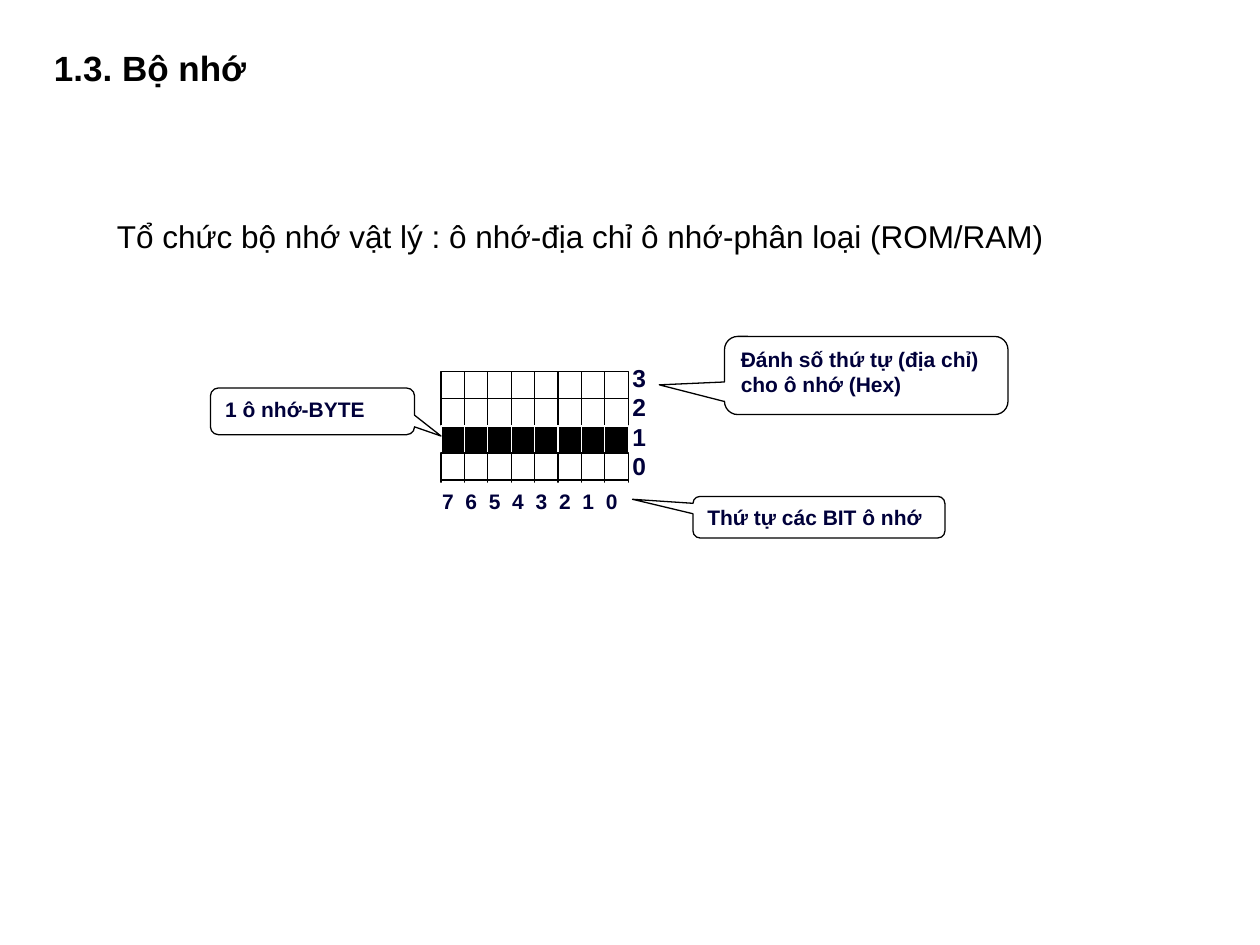
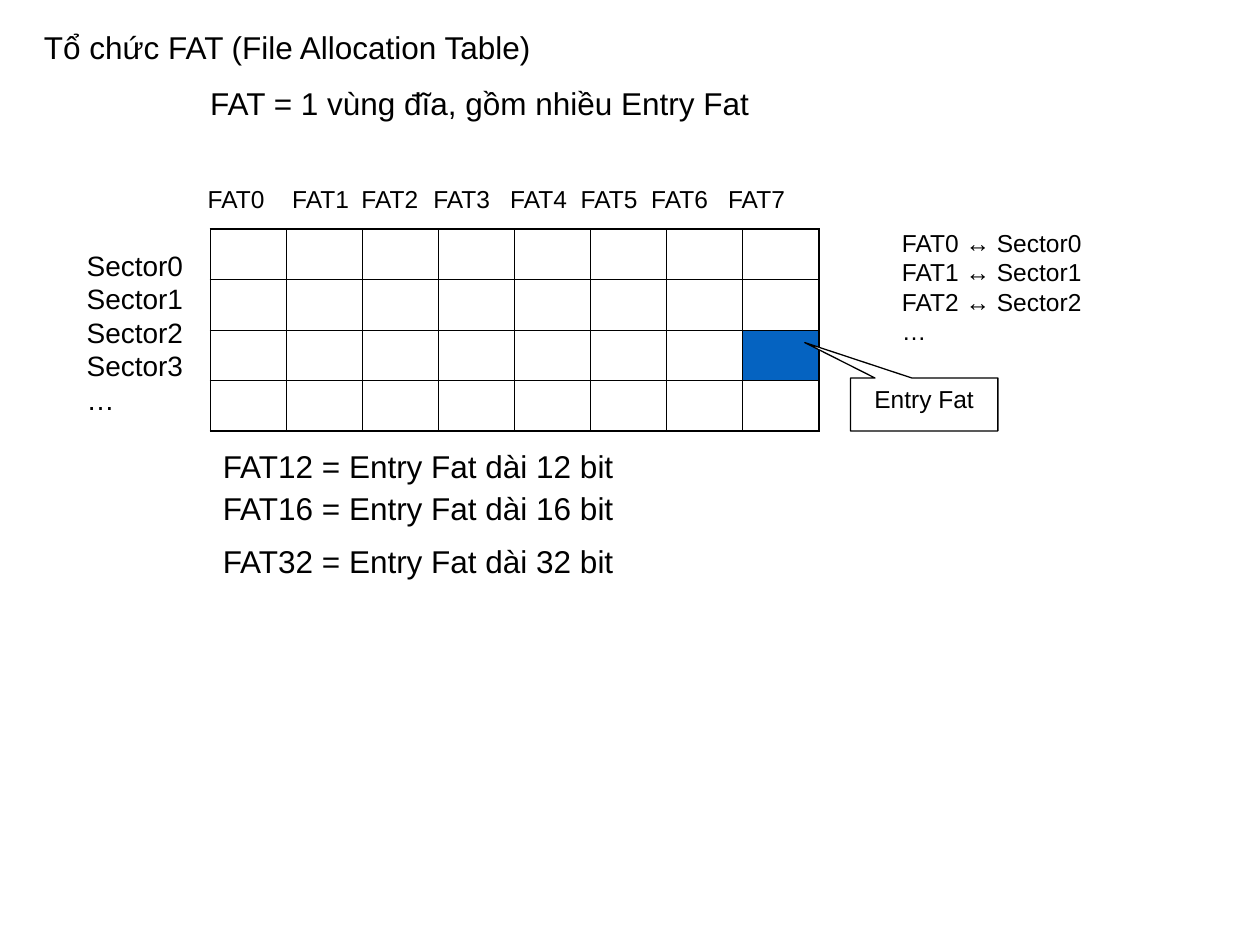
from lxml import etree
from pptx import Presentation
from pptx.dml.color import RGBColor
from pptx.enum.shapes import MSO_SHAPE as Shape
from pptx.enum.text import MSO_ANCHOR as Anchor, MSO_AUTO_SIZE as AutoSize, PP_ALIGN as Align
from pptx.oxml.ns import qn
from pptx.util import Inches, Pt

BLACK = RGBColor(0x00, 0x00, 0x00)
WHITE = RGBColor(0xFF, 0xFF, 0xFF)
NAVY = RGBColor(0x00, 0x00, 0x3A)
ENTRY_BLUE = RGBColor(0x05, 0x63, 0xC1)

HEADING = {"size": Pt(20), "bold": True}
BODY = {"size": Pt(18)}
SECTOR = {"size": Pt(16)}
SMALL = {"size": Pt(14)}
ADDRESS = {"size": Pt(14), "bold": True, "color": NAVY}
NOTE = {"size": Pt(12), "bold": True, "color": NAVY}

MEMORY_TEXTS = [
    ((0.33, 0.32, 1.8, 0.43), ["1.3. Bộ nhớ"], HEADING, Anchor.MIDDLE),
    ((0.83, 1.67, 7.62, 0.4),
     ["Tổ chức bộ nhớ vật lý : ô nhớ-địa chỉ ô nhớ-phân loại (ROM/RAM)"], BODY, Anchor.MIDDLE),
]
ADDRESSES = ["3", "2", "1", "0"]
BITS = ["7", "6", "5", "4", "3", "2", "1", "0"]
BIT_STEP = 1.3 / (len(BITS) - 1)
MEMORY_ROWS = 5
MARKED_ROW = 2
MEMORY_LEFT, MEMORY_TOP = 3.5, 2.95
MEMORY_PITCH_X, MEMORY_PITCH_Y = 1.3 / (len(BITS) - 1), 0.86 / (MEMORY_ROWS - 1)
BYTE_BIT_SIZE = (0.19, 0.25)
MEMORY_CALLOUTS = [
    ((1.67, 3.08, 1.62, 0.37), "1 ô nhớ-BYTE", (0.63, 0.53, 0.17)),
    ((5.75, 2.67, 2.25, 0.62), "Đánh số thứ tự (địa chỉ) cho ô nhớ (Hex)", (-0.73, 0.12, 0.17)),
    ((5.5, 3.94, 2, 0.33), "Thứ tự các BIT ô nhớ", (-0.74, -0.43, 0.17)),
]

FAT_TEXTS = [
    ((0.25, 0.17, 4.21, 0.4), ["Tổ chức FAT (File Allocation Table)"], BODY, Anchor.MIDDLE),
    ((1.57, 0.62, 4.51, 0.4), ["FAT = 1 vùng đĩa, gồm nhiều Entry Fat"], BODY, Anchor.TOP),
    ((0.59, 1.92, 1, 1.44),
     ["Sector0", "Sector1", "Sector2", "Sector3", "…"], SECTOR, Anchor.TOP),
    ((7.06, 1.76, 1.65, 1.04),
     ["FAT0 ↔ Sector0", "FAT1 ↔ Sector1", "FAT2 ↔ Sector2", "…"], SMALL, Anchor.TOP),
]
FAT_LENGTHS = [(12, 3.5), (16, 3.83), (32, 4.25)]
FAT_COLUMNS = [f"FAT{number}" for number in range(8)]
FAT_COLUMN_STOPS = [0.67, 1.22, 1.79, 2.4, 2.96, 3.52, 4.13]
FAT_ROWS = 4
FAT_ENTRY = (2, 7)
FAT_TABLE_BOX = (1.67, 1.82, 4.83, 1.6)
OUTER_LINE, INNER_LINE = Pt(1.08), Pt(0.45)


def inches(box):
    return [Inches(length) for length in box]


def write(frame, lines, style, align=Align.LEFT, anchor=Anchor.TOP):
    frame.vertical_anchor = anchor
    for number, line in enumerate(lines):
        paragraph = frame.add_paragraph() if number else frame.paragraphs[0]
        paragraph.alignment = align
        run = paragraph.add_run()
        run.text = line
        run.font.color.rgb = style.get("color", BLACK)
        for name, value in {"name": "Arial", "bold": False, **style}.items():
            if name != "color":
                setattr(run.font, name, value)


def set_tab_stops(paragraph, stops):
    tab_list = etree.SubElement(paragraph._p.get_or_add_pPr(), qn("a:tabLst"))
    for stop in stops:
        etree.SubElement(tab_list, qn("a:tab"), pos=str(Inches(stop)), algn="l")


def add_text(slide, box, lines, style, anchor=Anchor.TOP):
    frame = slide.shapes.add_textbox(*inches(box)).text_frame
    frame.word_wrap = False
    frame.auto_size = AutoSize.SHAPE_TO_FIT_TEXT
    write(frame, lines, style, anchor=anchor)
    return frame


def add_block(slide, kind, box, fill=WHITE, line=BLACK, adjustments=()):
    block = slide.shapes.add_shape(kind, *inches(box))
    block.shadow.inherit = False
    block.fill.solid()
    block.fill.fore_color.rgb = fill
    if line is None:
        block.line.fill.background()
    else:
        block.line.color.rgb = line
        block.line.width = Pt(0.75)
    for number, value in enumerate(adjustments):
        block.adjustments[number] = value
    block.text_frame.word_wrap = True
    return block


def set_borders(cell, widths):
    properties = cell._tc.get_or_add_tcPr()
    for order, (side, width) in enumerate(widths.items()):
        border = etree.Element(qn(f"a:ln{side}"), w=str(width))
        fill = etree.SubElement(border, qn("a:solidFill"))
        etree.SubElement(fill, qn("a:srgbClr"), val=str(BLACK))
        properties.insert(order, border)


def add_fat_table(slide):
    columns = len(FAT_COLUMNS)
    table = slide.shapes.add_table(FAT_ROWS, columns, *inches(FAT_TABLE_BOX)).table
    table.first_row = table.horz_banding = False
    for row in range(FAT_ROWS):
        for column in range(columns):
            cell = table.cell(row, column)
            cell.margin_top = cell.margin_bottom = 0
            if (row, column) == FAT_ENTRY:
                cell.fill.solid()
                cell.fill.fore_color.rgb = ENTRY_BLUE
            else:
                cell.fill.background()
            on_edge = {"L": column == 0, "R": column == columns - 1,
                       "T": row == 0, "B": row == FAT_ROWS - 1}
            set_borders(cell, {side: OUTER_LINE if edge else INNER_LINE
                               for side, edge in on_edge.items()})


def build_memory(slide):
    for box, lines, style, anchor in MEMORY_TEXTS:
        add_text(slide, box, lines, style, anchor)
    addresses = add_block(slide, Shape.RECTANGLE, (4.92, 2.83, 0.62, 0.97), line=None)
    write(addresses.text_frame, ADDRESSES, ADDRESS)
    for row in range(MEMORY_ROWS):
        colours = (BLACK, WHITE) if row == MARKED_ROW else (WHITE, BLACK)
        for column in range(len(BITS)):
            corner = (MEMORY_LEFT + column * MEMORY_PITCH_X, MEMORY_TOP + row * MEMORY_PITCH_Y)
            add_block(slide, Shape.RECTANGLE, corner + BYTE_BIT_SIZE, *colours)
    bits = add_block(slide, Shape.RECTANGLE, (3.41, 3.83, 1.75, 0.37), line=None).text_frame
    write(bits, ["\t".join(BITS)], NOTE)
    set_tab_stops(bits.paragraphs[0], [BIT_STEP * number for number in range(1, len(BITS))])
    for box, text, adjustments in MEMORY_CALLOUTS:
        callout = add_block(slide, Shape.ROUNDED_RECTANGULAR_CALLOUT, box, adjustments=adjustments)
        write(callout.text_frame, [text], NOTE)


def build_fat(slide):
    for box, lines, style, anchor in FAT_TEXTS:
        add_text(slide, box, lines, style, anchor)
    add_fat_table(slide)
    headings = add_text(slide, (1.55, 1.41, 4.99, 0.34), ["\t".join(FAT_COLUMNS)], SMALL)
    set_tab_stops(headings.paragraphs[0], FAT_COLUMN_STOPS)
    entry = add_block(slide, Shape.RECTANGULAR_CALLOUT, (6.75, 3, 1.17, 0.42),
                      adjustments=(-0.81, -1.17))
    write(entry.text_frame, ["Entry Fat"], SMALL, Align.CENTER)
    for length, top in FAT_LENGTHS:
        add_text(slide, (1.67, top, 3.33, 0.4), [f"FAT{length} = Entry Fat dài {length} bit"], BODY)


def main():
    deck = Presentation()
    deck.slide_width, deck.slide_height = Inches(10), Inches(7.5)
    for build in (build_memory, build_fat):
        build(deck.slides.add_slide(deck.slide_layouts[6]))
    deck.save("out.pptx")


if __name__ == "__main__":
    main()
